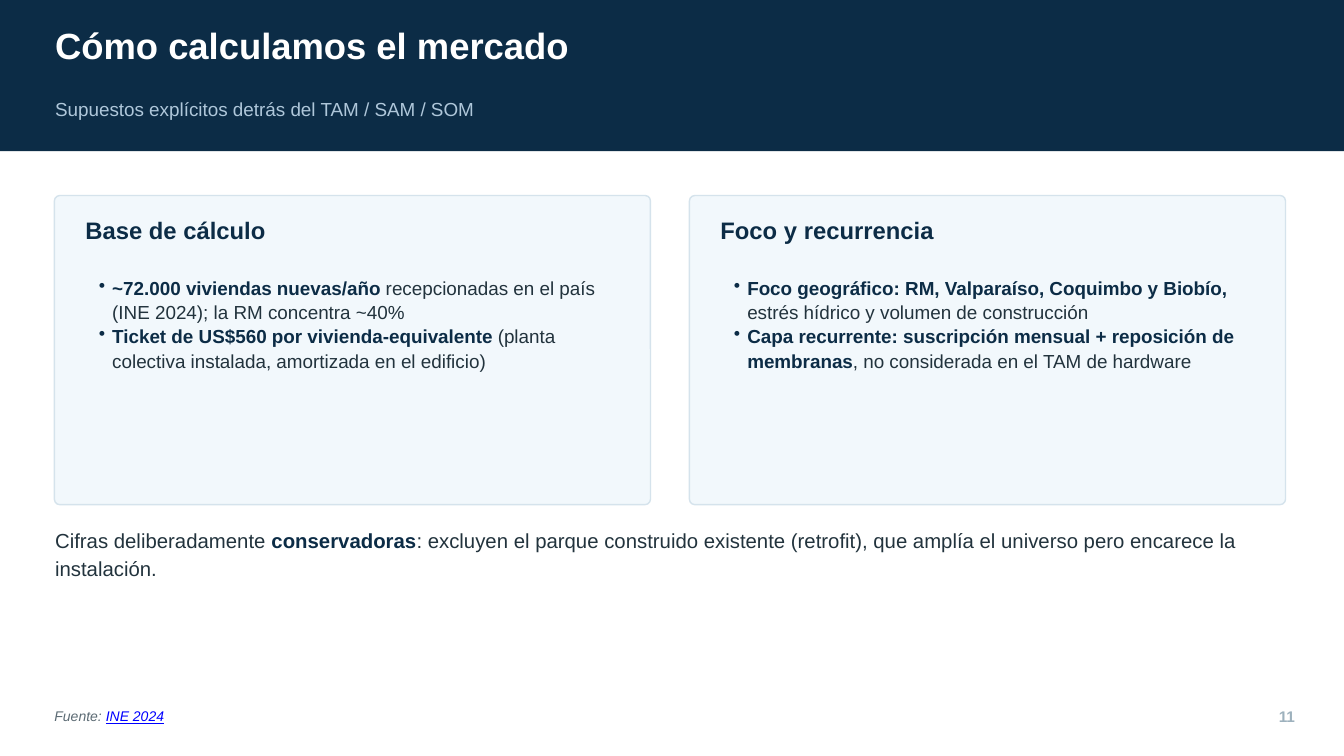
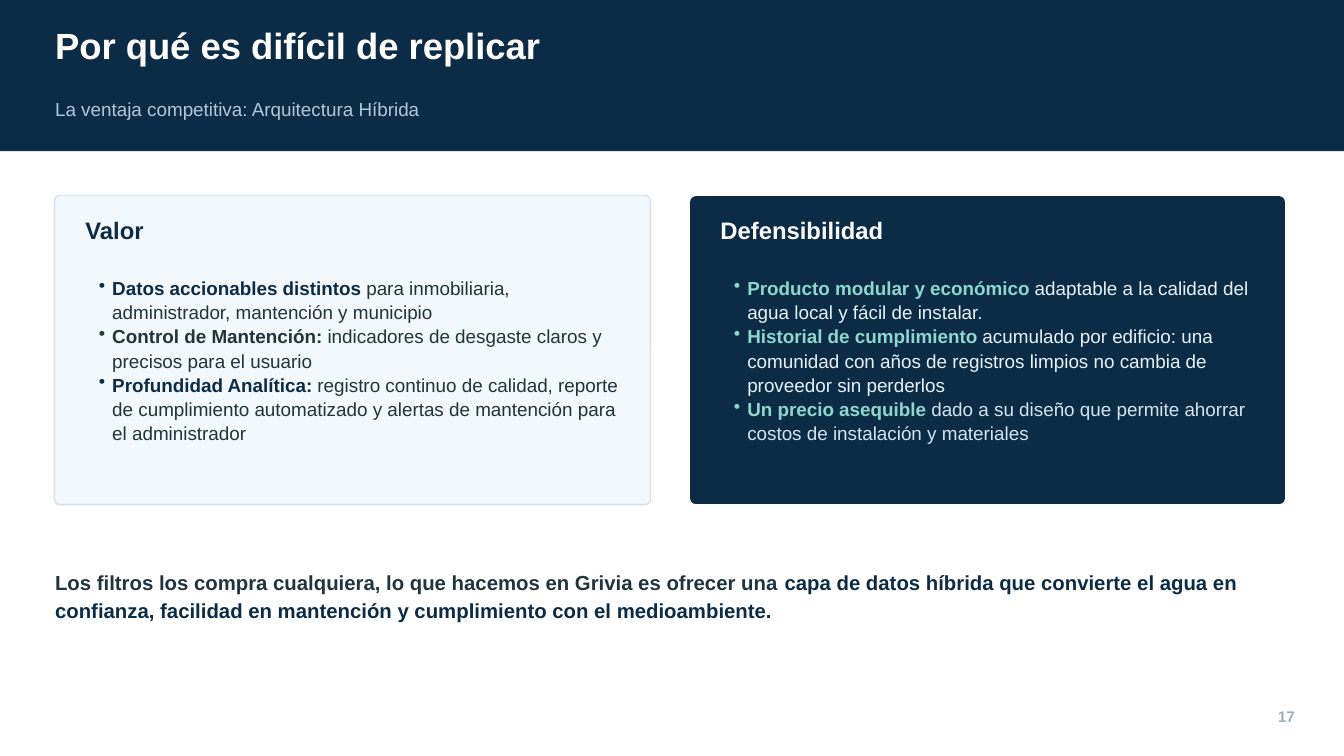
from lxml import etree
from pptx import Presentation
from pptx.dml.color import RGBColor
from pptx.enum import shapes, text
from pptx.oxml.ns import qn
from pptx.util import Inches, Pt

COLOURS = {
    "navy": "0C2C46",
    "white": "FFFFFF",
    "subtitle": "AFC7DA",
    "pale": "F2F8FC",
    "border": "D5E3EC",
    "ink": "22333D",
    "mint": "8FD6CD",
    "ice": "E7F1F6",
    "number": "9DB1BD",
    "source": "5C6B74",
    "link": "0000FF",
}
FONT = "Arial"
MARGIN = 0.82
CARD_LEFT, CARD_TOP, CARD_WIDTH, CARD_HEIGHT = 0.81, 2.91, 8.87, 4.6
CARD_PITCH = 9.45
CARD_PADDING = 0.46
CARD_RADIUS = 0.08


def colour(name):
    return RGBColor.from_string(COLOURS[name])


def add_bullet(paragraph):
    properties = paragraph._p.get_or_add_pPr()
    properties.set("marL", str(Inches(0.4)))
    properties.set("indent", str(Inches(-0.2)))
    etree.SubElement(properties, qn("a:buChar"), char="•")


def write(paragraph, runs, size, spacing):
    """Fill a paragraph with (text, colour, bold) runs."""
    paragraph.line_spacing = Pt(spacing)
    paragraph.font.name = FONT
    paragraph.font.size = Pt(size)
    for content, colour_name, bold in runs:
        run = paragraph.add_run()
        run.text = content
        run.font.color.rgb = colour(colour_name)
        run.font.bold = bold


def clear_margins(frame, anchor=text.MSO_ANCHOR.TOP):
    frame.word_wrap = True
    frame.vertical_anchor = anchor
    frame.margin_left = frame.margin_right = 0
    frame.margin_top = frame.margin_bottom = 0


def add_text(slide, box, runs, size, spacing, anchor=text.MSO_ANCHOR.TOP):
    frame = slide.shapes.add_textbox(*map(Inches, box)).text_frame
    clear_margins(frame, anchor)
    write(frame.paragraphs[0], runs, size, spacing)
    return frame.paragraphs[0]


def add_panel(slide, kind, box, fill, line=None):
    shape = slide.shapes.add_shape(kind, *map(Inches, box))
    shape.shadow.inherit = False
    shape.fill.solid()
    shape.fill.fore_color.rgb = colour(fill)
    if line:
        shape.line.color.rgb = colour(line)
        shape.line.width = Pt(1.5)
    else:
        shape.line.fill.background()
    return shape


def add_header(slide, title_text, subtitle):
    band = add_panel(slide, shapes.MSO_SHAPE.RECTANGLE, (0, 0, 20, 2.25), "navy")
    title = slide.shapes.title
    title.element.addprevious(band.element)  # band lies behind the title
    title.left, title.top = Inches(MARGIN), Inches(0.34)
    title.width, title.height = Inches(13.8), Inches(0.67)
    clear_margins(title.text_frame)
    title.text_frame.auto_size = text.MSO_AUTO_SIZE.NONE
    paragraph = title.text_frame.paragraphs[0]
    paragraph.alignment = text.PP_ALIGN.LEFT
    write(paragraph, [(title_text, "white", True)], 39, 46.8)
    add_text(slide, (MARGIN, 1.46, 14.7, 0.34), [(subtitle, "subtitle", False)],
             20.2, 24.3)


def add_card(slide, column, heading, bullets, dark=False):
    left = CARD_LEFT + column * CARD_PITCH
    # The dark card has no border, so it is drawn slightly smaller
    inset = 0.01 if dark else 0
    height = CARD_HEIGHT - 2 * inset
    card = add_panel(slide, shapes.MSO_SHAPE.ROUNDED_RECTANGLE,
                     (left + inset, CARD_TOP + inset, CARD_WIDTH - 2 * inset, height),
                     "navy" if dark else "pale", None if dark else "border")
    card.adjustments[0] = CARD_RADIUS / height

    text_left = left + CARD_PADDING
    text_width = CARD_WIDTH - 2 * CARD_PADDING
    add_text(slide, (text_left, 3.21, text_width, 0.43),
             [(heading, "white" if dark else "navy", True)], 25.5, 30.6)

    frame = slide.shapes.add_textbox(
        *map(Inches, (text_left, 4.1, text_width, 3.19))).text_frame
    clear_margins(frame)
    for index, runs in enumerate(bullets):
        paragraph = frame.add_paragraph() if index else frame.paragraphs[0]
        add_bullet(paragraph)
        write(paragraph, runs, 20.2, 25.8)


def add_conclusion(slide, top, runs):
    add_text(slide, (MARGIN, top, 18.3, 0.84), runs, 21.8, 30)


def add_page_number(slide, number):
    paragraph = add_text(slide, (18.45, 10.39, 0.82, 0.54),
                         [(str(number), "number", True)], 16.5, 19.8,
                         text.MSO_ANCHOR.MIDDLE)
    paragraph.alignment = text.PP_ALIGN.RIGHT


def add_source(slide, name):
    paragraph = add_text(slide, (CARD_LEFT, 10.53, 11.52, 0.27),
                         [("Fuente: ", "source", False), (name, "link", False)], 15, 18)
    paragraph.font.italic = True
    paragraph.runs[1].font.underline = True


def add_slide(presentation, title, subtitle, number):
    slide = presentation.slides.add_slide(presentation.slide_layouts[5])
    add_header(slide, title, subtitle)
    add_page_number(slide, number)
    return slide


def build_market(presentation):
    slide = add_slide(presentation, "Cómo calculamos el mercado",
                      "Supuestos explícitos detrás del TAM / SAM / SOM", 11)
    add_card(slide, 0, "Base de cálculo", [
        [("~72.000 viviendas nuevas/año", "navy", True),
         (" recepcionadas en el país (INE 2024); la RM concentra ~40%", "ink", False)],
        [("Ticket de US$560 por vivienda-equivalente", "navy", True),
         (" (planta colectiva instalada, amortizada en el edificio)", "ink", False)],
    ])
    add_card(slide, 1, "Foco y recurrencia", [
        [("Foco geográfico: RM, Valparaíso, Coquimbo y Biobío,", "navy", True),
         (" estrés hídrico y volumen de construcción", "ink", False)],
        [("Capa recurrente: suscripción mensual + reposición de membranas", "navy", True),
         (", no considerada en el TAM de hardware", "ink", False)],
    ])
    add_conclusion(slide, 7.81, [
        ("Cifras deliberadamente ", "ink", False),
        ("conservadoras", "navy", True),
        (": excluyen el parque construido existente (retrofit), que amplía el universo "
         "pero encarece la instalación.", "ink", False),
    ])
    add_source(slide, "INE 2024")


def build_advantage(presentation):
    slide = add_slide(presentation, "Por qué es difícil de replicar",
                      "La ventaja competitiva: Arquitectura Híbrida", 17)
    add_card(slide, 0, "Valor", [
        [("Datos accionables distintos", "navy", True),
         (" para inmobiliaria, administrador, mantención y municipio", "ink", False)],
        [("Control de Mantención: ", "ink", True),
         ("indicadores de desgaste claros y precisos para el usuario", "ink", False)],
        [("Profundidad Analítica:", "navy", True),
         (" registro continuo de calidad, reporte de cumplimiento automatizado y "
          "alertas de mantención para el administrador", "ink", False)],
    ])
    add_card(slide, 1, "Defensibilidad", [
        [("Producto modular y económico", "mint", True),
         (" adaptable a la calidad del agua local y fácil de instalar.", "ice", False)],
        [("Historial de cumplimiento", "mint", True),
         (" acumulado por edificio: una comunidad con años de registros limpios "
          "no cambia de proveedor sin perderlos", "ice", False)],
        [("Un precio asequible ", "mint", True),
         ("dado a su diseño que permite ahorrar costos de instalación y materiales",
          "border", False)],
    ], dark=True)
    add_conclusion(slide, 8.43, [
        ("Los filtros los compra cualquiera, lo que hacemos en Grivia es ofrecer una ",
         "ink", True),
        ("capa de datos híbrida que convierte el agua en confianza, facilidad en "
         "mantención y cumplimiento con el medioambiente.", "navy", True),
    ])


def main():
    presentation = Presentation()
    presentation.slide_width = Inches(20)
    presentation.slide_height = Inches(11.25)
    build_market(presentation)
    build_advantage(presentation)
    presentation.save("out.pptx")


if __name__ == "__main__":
    main()
